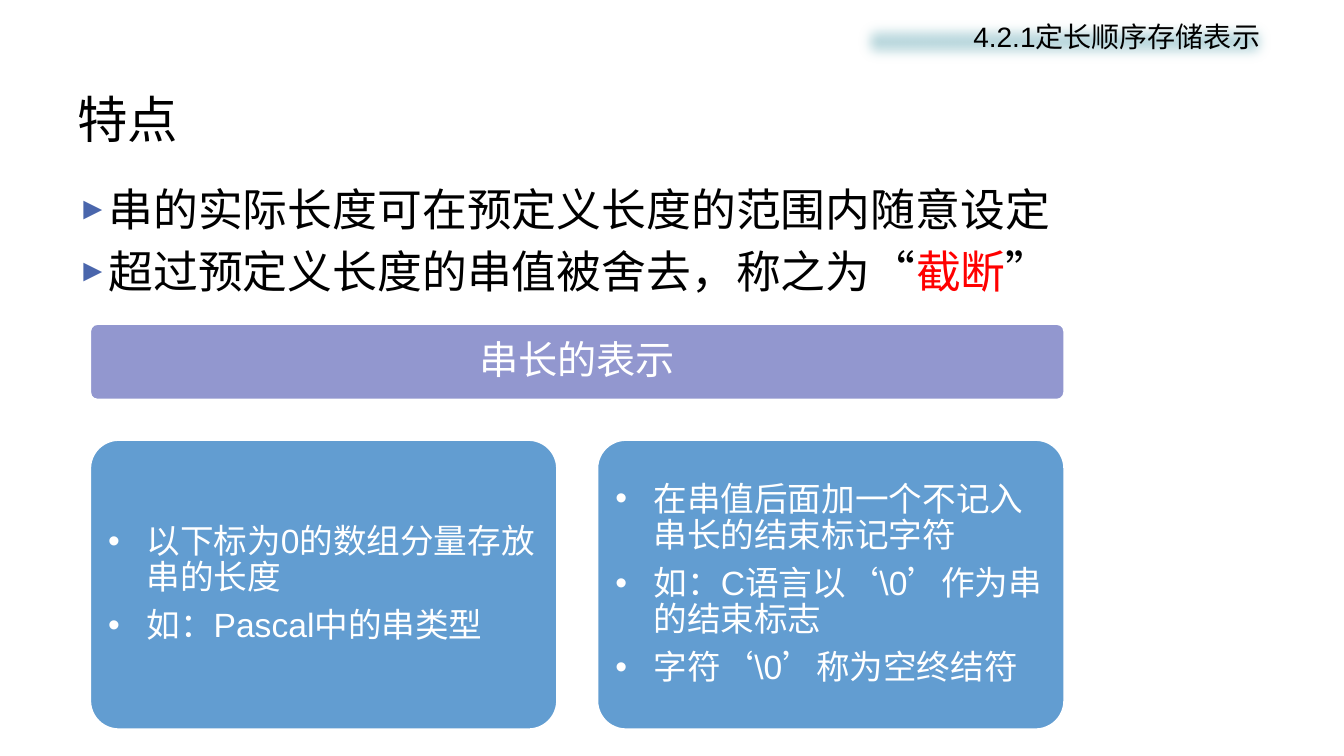
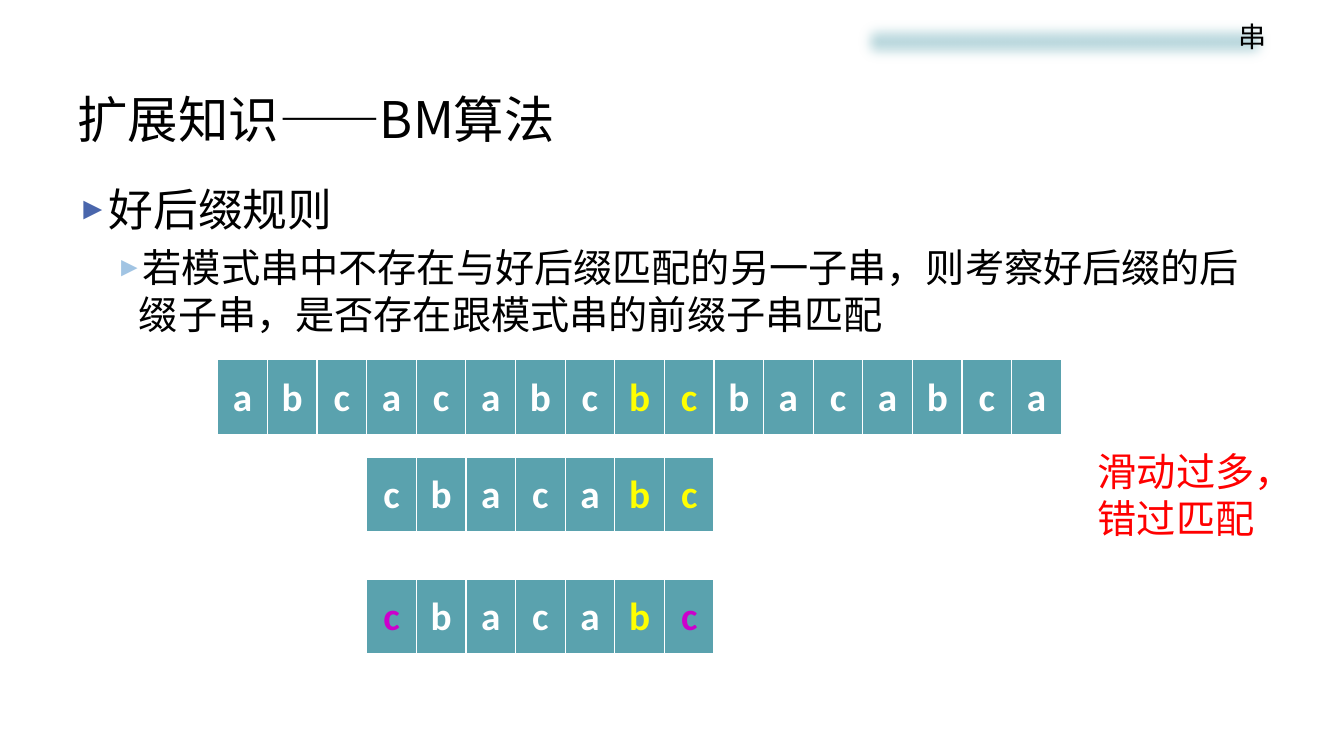
from lxml.etree import SubElement
from pptx import Presentation
from pptx.dml.color import RGBColor
from pptx.enum.shapes import MSO_SHAPE
from pptx.enum.text import MSO_ANCHOR, PP_ALIGN
from pptx.oxml.ns import qn
from pptx.util import Inches, Pt

BLACK = RGBColor(0x00, 0x00, 0x00)
WHITE = RGBColor(0xFF, 0xFF, 0xFF)
RED = RGBColor(0xFF, 0x00, 0x00)
YELLOW = RGBColor(0xFF, 0xFF, 0x00)
PURPLE = RGBColor(0xCC, 0x00, 0xCC)
NAVY = RGBColor(0x4A, 0x66, 0xAC)
SKY = RGBColor(0xA1, 0xC4, 0xE3)
MIST = RGBColor(0xBD, 0xDA, 0xDF)
LILAC = RGBColor(0x92, 0x97, 0xCF)
BLUE = RGBColor(0x62, 0x9D, 0xD1)
TEAL = RGBColor(0x5A, 0xA2, 0xAE)
SANS = "Noto Sans CJK SC"


def write(frame, *runs, new=False, size=28, font=SANS, color=BLACK, bold=False,
          align=PP_ALIGN.LEFT, before=0, after=0, lines=None,
          mark=None, tint=None, scale=100, left=0, hang=0):
    """Write one paragraph; a run is a string or a (string, colour) pair."""
    para = frame.add_paragraph() if new else frame.paragraphs[0]
    if mark:
        props = para._p.get_or_add_pPr()
        props.set("marL", str(Inches(left)))
        props.set("indent", str(-Inches(hang)))
        if tint:
            SubElement(SubElement(props, qn("a:buClr")), qn("a:srgbClr"), val=str(tint))
        SubElement(props, qn("a:buSzPct"), val=str(scale * 1000))
        SubElement(props, qn("a:buFont"), typeface="Arial")
        SubElement(props, qn("a:buChar"), char=mark)
    para.alignment = align
    para.space_before, para.space_after = Pt(before), Pt(after)
    if lines:
        para.line_spacing = lines
    for item in runs:
        words, hue = item if isinstance(item, tuple) else (item, color)
        run = para.add_run()
        run.text = words
        run.font.size, run.font.name, run.font.bold = Pt(size), font, bold
        run.font.color.rgb = hue
        SubElement(run._r.get_or_add_rPr(), qn("a:ea"), typeface=SANS)


def block(slide, x, y, wide, high, fill=None, kind=None, line=None, inset=None):
    """Add a text box, or a filled shape of the given kind; return the shape."""
    place = [Inches(n) for n in (x, y, wide, high)]
    if kind is None:
        shape = slide.shapes.add_textbox(*place)
    else:
        shape = slide.shapes.add_shape(kind, *place)
        shape.shadow.inherit = False
        shape.fill.solid()
        shape.fill.fore_color.rgb = fill
        if line:
            shape.line.color.rgb, shape.line.width = line, Pt(2)
        else:
            shape.line.fill.background()
    frame = shape.text_frame
    frame.word_wrap = True
    frame.vertical_anchor = MSO_ANCHOR.TOP
    if inset:
        frame.margin_left = frame.margin_right = Inches(inset)
        frame.margin_top = frame.margin_bottom = Inches(inset)
    return shape


deck = Presentation()
deck.slide_width, deck.slide_height = Inches(13.33), Inches(7.5)

# Shared parts: soft band with section name, title, body box
heads = [("4.2.1定长顺序存储表示 ", "特点", 1.56),
         ("串", "扩展知识——BM算法", 2)]
pages = []
for part, title, high in heads:
    slide = deck.slides.add_slide(deck.slide_layouts[6])
    frame = block(slide, 0.67, 0.8, 12, 0.75).text_frame
    frame.vertical_anchor = MSO_ANCHOR.MIDDLE
    write(frame, title, size=36)
    body = block(slide, 0.67, 1.75, 12, high).text_frame
    band = block(slide, 8.46, 0.14, 4.2, 0.54, MIST, MSO_SHAPE.RECTANGLE)
    glow = band._element.spPr.find(qn("a:effectLst"))
    SubElement(glow, qn("a:softEdge"), rad=str(Pt(10)))
    write(band.text_frame, part, size=20, font="Arial", align=PP_ALIGN.RIGHT)
    pages.append((slide, body))

main = dict(size=32, mark="►", tint=NAVY, scale=70, left=0.28, hang=0.28)

# Slide 1: body points
slide, body = pages[0]
write(body, "串的实际长度可在预定义长度的范围内随意设定", font="Times New Roman", **main)
write(body, "超过预定义长度的串值被舍去，称之为“", ("截断", RED), "”",
      new=True, font="Times New Roman", before=6.4, **main)

# Slide 1: header bar and two cards
bar = block(slide, 0.89, 3.21, 9.67, 0.76, LILAC, MSO_SHAPE.ROUNDED_RECTANGLE, WHITE, 0.12)
bar.adjustments[0] = 0.1
bar.text_frame.vertical_anchor = MSO_ANCHOR.MIDDLE
write(bar.text_frame, "串长的表示", font="Arial", color=WHITE,
      align=PP_ALIGN.CENTER, lines=0.9)

cards = [["以下标为0的数组分量存放串的长度", "如：Pascal中的串类型"],
         ["在串值后面加一个不记入串长的结束标记字符",
          "如：C语言以‘\\0’作为串的结束标志", "字符‘\\0’称为空终结符"]]
for col, points in enumerate(cards):
    card = block(slide, 0.89 + col * 5.03, 4.36, 4.64, 2.88, BLUE,
                 MSO_SHAPE.ROUNDED_RECTANGLE, WHITE, 0.1)
    card.adjustments[0] = 0.1
    card.text_frame.vertical_anchor = MSO_ANCHOR.MIDDLE
    for row, point in enumerate(points):
        write(card.text_frame, point, new=row > 0, size=24, font="Arial", color=WHITE,
              after=8.4, lines=0.9, mark="•", left=0.38, hang=0.38)

# Slide 2: body points and remark
slide, body = pages[1]
write(body, "好后缀规则", **main)
write(body, "若模式串中不存在与好后缀匹配的另一子串，则考察好后缀的后缀子串，"
      "是否存在跟模式串的前缀子串匹配", new=True, before=5.6,
      mark="►", tint=SKY, scale=70, left=0.61, hang=0.23)
note = block(slide, 10.79, 4.39, 2.05, 1.04)
write(note.text_frame, "滑动过多，错过匹配", color=RED)

# Slide 2: letter strips; shift counts cells from the left end of the text
cell_w = 8.37 / 17
strips = [("abcacabcbcbacabca", 0, 3.57, {8: YELLOW, 9: YELLOW}),
          ("cbacabc", 3, 4.54, {5: YELLOW, 6: YELLOW}),
          ("cbacabc", 3, 5.75, {0: PURPLE, 5: YELLOW, 6: PURPLE})]
edges = [("a:lnL", 1), ("a:lnR", 1), ("a:lnT", 1), ("a:lnB", 3)]
for word, shift, top, hues in strips:
    count = len(word)
    table = slide.shapes.add_table(1, count, Inches(2.16 + shift * cell_w), Inches(top),
                                   Inches(count * cell_w), Inches(0.75)).table
    table.first_row = table.horz_banding = False
    for pos, sign in enumerate(word):
        table.columns[pos].width = Inches(cell_w)
        cell = table.cell(0, pos)
        cell.vertical_anchor = MSO_ANCHOR.MIDDLE
        props = cell._tc.get_or_add_tcPr()
        for tag, width in edges:
            edge = SubElement(props, qn(tag), w=str(Pt(width)))
            SubElement(SubElement(edge, qn("a:solidFill")), qn("a:srgbClr"), val=str(WHITE))
        cell.fill.solid()
        cell.fill.fore_color.rgb = TEAL
        write(cell.text_frame, sign, font="Calibri", bold=True,
              color=hues.get(pos, WHITE), align=PP_ALIGN.CENTER)

deck.save("out.pptx")
